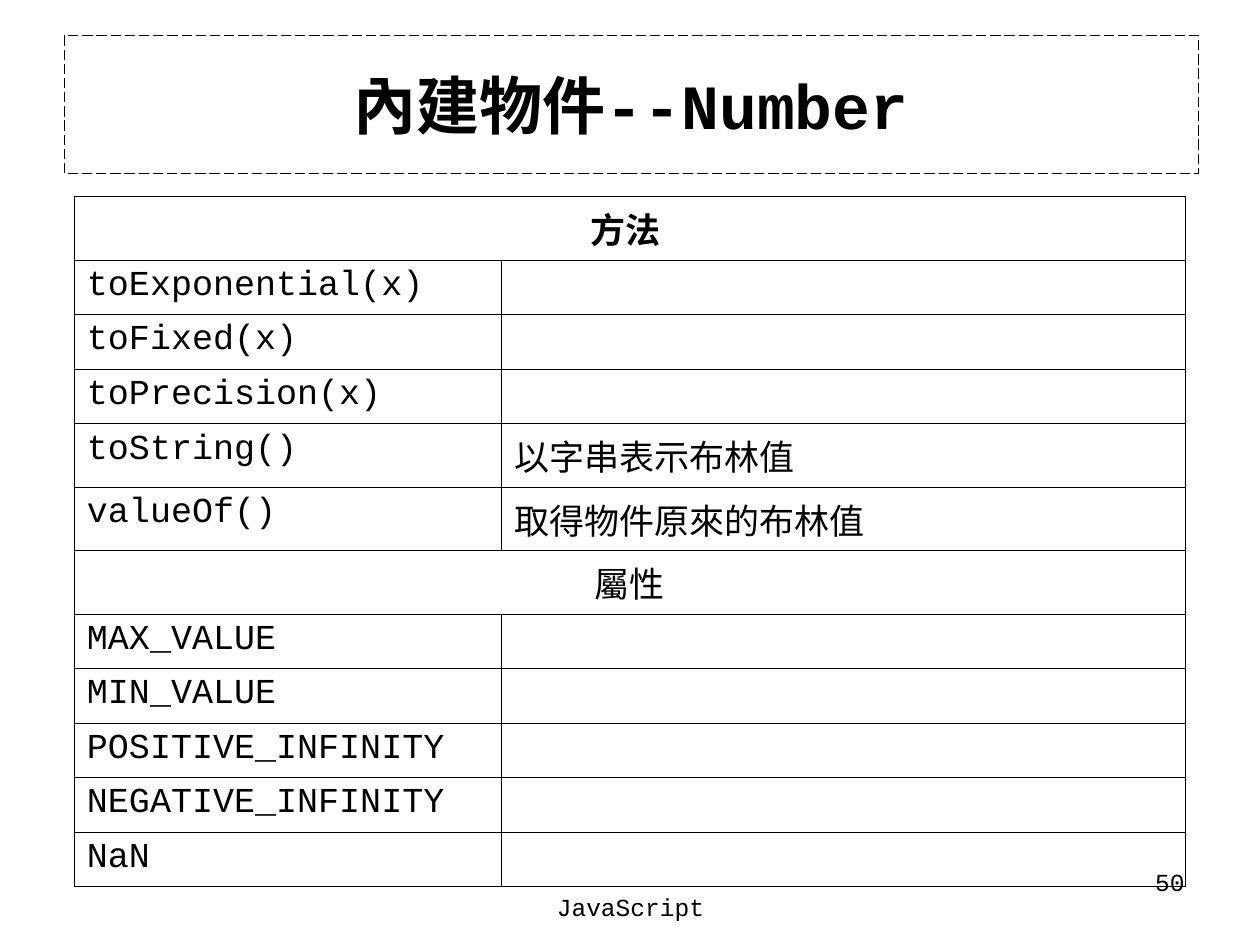
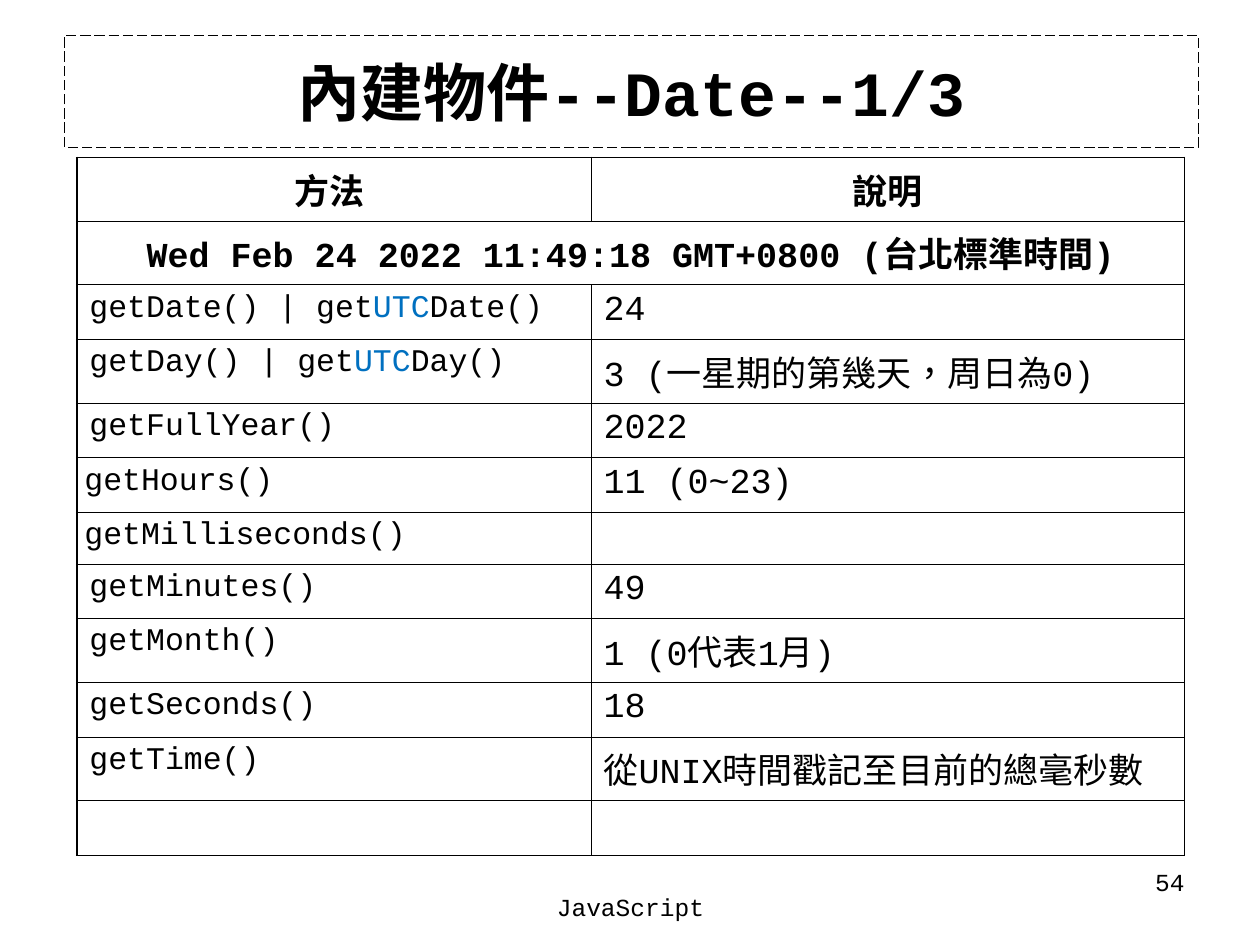
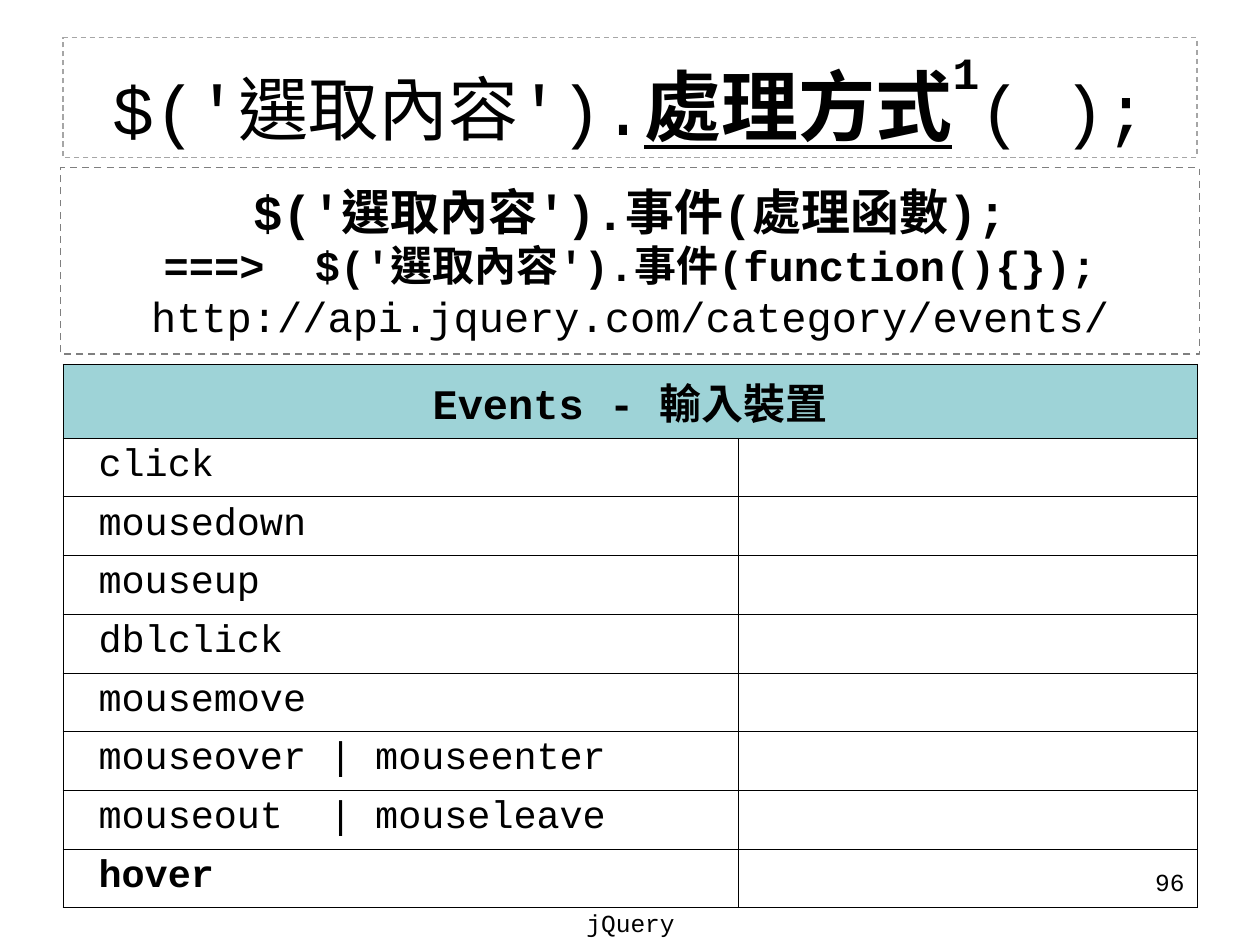
from dataclasses import dataclass, field
from typing import NamedTuple

from lxml.etree import SubElement as Sub
from pptx import Presentation
from pptx.dml.color import RGBColor as Rgb
from pptx.enum.dml import MSO_LINE as Dash
from pptx.enum.shapes import MSO_SHAPE as Shape
from pptx.enum.text import MSO_ANCHOR as Anchor, MSO_AUTO_SIZE as Fit, PP_ALIGN as Align
from pptx.oxml.ns import qn
from pptx.util import Inches, Pt

UNIT = Inches(0.1)  # the slide is a grid of 100 columns by 75 rows
FONT = "Courier New"
HEX = {"ink": "000000", "blue": "0070C0", "teal": "9ED3D7",
       "pale": "A6A6A6", "gray": "7F7F7F"}
THICK, THIN = 1.08, 0.45
HEAD = {"size": 20, "bold": True}
BODY = {"size": 20}
CODE = {"size": 18}
MARK = {"size": 18, "color": "blue"}
EVENT = {"size": 22}
NOTE = {"size": 14}
TITLE = {"size": 36, "bold": True}


class Box(NamedTuple):
    """Left, top, width and height in grid units."""
    x: float
    y: float
    w: float
    h: float


class Run(NamedTuple):
    text: str
    form: dict


class Edge(NamedTuple):
    color: str
    width: float
    dash: Dash


@dataclass
class Cell:
    runs: list = field(default_factory=list)
    align: Align = Align.LEFT
    pad: float = 1
    fill: str = ""


@dataclass
class Grid:
    """A row with a single cell spans all columns."""
    box: Box
    cols: list
    rows: list
    cells: list
    outer: float = THICK


@dataclass
class Page:
    box: Box
    title: list
    edge: Edge
    grid: Grid
    number: str
    foot: str
    low: float = 70.3


def span(units: float) -> int:
    return round(units * UNIT)


def place(shape, box: Box) -> None:
    for name, size in zip(("left", "top", "width", "height"), box):
        setattr(shape, name, span(size))


def write(para, runs: list, align: Align) -> None:
    para.alignment = align
    for item in runs:
        run = para.add_run()
        run.text = item.text
        form = {"name": FONT, "bold": False, **item.form}
        form["size"] = Pt(form["size"])
        run.font.color.rgb = Rgb.from_string(HEX[form.pop("color", "ink")])
        props = run._r.get_or_add_rPr()
        props.set("lang", "zh-TW")
        if "base" in form:
            props.set("baseline", str(form.pop("base") * 1000))
        for name, value in form.items():
            setattr(run.font, name, value)


def fill_text(frame, paras: list, align: Align, **form) -> None:
    base = {"word_wrap": True, "auto_size": Fit.NONE, "vertical_anchor": Anchor.TOP}
    for name, value in {**base, **form}.items():
        setattr(frame, name, value)
    for i, runs in enumerate(paras):
        write(frame.add_paragraph() if i else frame.paragraphs[0], runs, align)


def frame_box(shape, box: Box, edge: Edge, paras: list) -> None:
    """Give a shape its dashed frame and centred text."""
    place(shape, box)
    shape.fill.background()
    shape.line.color.rgb = Rgb.from_string(HEX[edge.color])
    shape.line.width = Pt(edge.width)
    shape.line.dash_style = edge.dash
    fill_text(shape.text_frame, paras, Align.CENTER, vertical_anchor=Anchor.MIDDLE,
              margin_left=span(0.5), margin_right=span(0.5))


def add_note(slide, box: Box, text: str, align: Align) -> None:
    note = slide.shapes.add_textbox(0, 0, 0, 0)
    place(note, box)
    fill_text(note.text_frame, [[Run(text, NOTE)]], align)


def rule_cell(cell, widths: dict) -> None:
    props = cell._tc.get_or_add_tcPr()
    for side, width in widths.items():
        line = Sub(props, qn(f"a:ln{side}"), w=str(Pt(width)))
        Sub(Sub(line, qn("a:solidFill")), qn("a:srgbClr"), val=HEX["ink"])


def add_grid(slide, grid: Grid) -> None:
    count = len(grid.cols)
    table = slide.shapes.add_table(len(grid.rows), count, *map(span, grid.box)).table
    table.first_row = table.horz_banding = False
    for col, width in zip(table.columns, grid.cols):
        col.width = span(width)
    for r, (height, items) in enumerate(zip(grid.rows, grid.cells)):
        table.rows[r].height = span(height)
        whole = len(items) == 1
        if whole:
            table.cell(r, 0).merge(table.cell(r, count - 1))
        for c in range(count):
            cell = table.cell(r, c)
            rule_cell(cell, {
                "L": THIN if c else grid.outer,
                "R": grid.outer if whole or c == count - 1 else THIN,
                "T": THIN if r else grid.outer,
                "B": THIN})
            item = items[c] if c < len(items) else Cell()
            if item.fill:
                cell.fill.solid()
                cell.fill.fore_color.rgb = Rgb.from_string(HEX[item.fill])
            else:
                cell.fill.background()
            if item.runs:
                cell.margin_left = span(item.pad)
                write(cell.text_frame.paragraphs[0], item.runs, item.align)


def add_page(deck, page: Page):
    slide = deck.slides.add_slide(deck.slide_layouts[5])
    frame_box(slide.shapes.title, page.box, page.edge, [page.title])
    add_grid(slide, page.grid)
    add_note(slide, Box(71.7, 68.3, 23.3, 5.2), page.number, Align.RIGHT)
    add_note(slide, Box(34.2, page.low, 31.7, 5), page.foot, Align.CENTER)
    return slide


def head(text: str, form: dict = HEAD, fill: str = "") -> Cell:
    return Cell([Run(text, form)], Align.CENTER, fill=fill)


def pair(name: str, note: str = "", form: dict = BODY, pad: float = 1) -> list:
    """A row of name and note; UTC in the name is marked."""
    start, mark, rest = name.partition("UTC")
    runs = [Run(start, form)]
    if mark:
        runs += [Run(mark, MARK), Run(rest, form)]
    return [Cell(runs, pad=pad), Cell([Run(note, BODY)] if note else [])]


NUMBER = [
    [head("方法 ")],
    *map(pair, ("toExponential(x)", "toFixed(x)", "toPrecision(x)")),
    pair("toString()", "以字串表示布林值"),
    pair("valueOf()", "取得物件原來的布林值"),
    [head("屬性", BODY)],
    *map(pair, ("MAX_VALUE", "MIN_VALUE", "POSITIVE_INFINITY",
                "NEGATIVE_INFINITY", "NaN")),
]
DATES = [
    ("getDate() | getUTCDate()", "24"),
    ("getDay() | getUTCDay()", "3 (一星期的第幾天，周日為0)"),
    ("getFullYear()", "2022"),
    ("getHours()", "11 (0~23)"),
    ("getMilliseconds()", ""),
    ("getMinutes()", "49"),
    ("getMonth()", "1 (0代表1月)"),
    ("getSeconds()", "18"),
    ("getTime()", "從UNIX時間戳記至目前的總毫秒數"),
]
TIGHT = ("getHours()", "getMilliseconds()")
DATE = [
    [head("方法 "), head("說明")],
    [head("Wed Feb 24 2022 11:49:18 GMT+0800 (台北標準時間)")],
    *(pair(name, note, CODE, 0.6 if name in TIGHT else 1) for name, note in DATES),
    [Cell(), Cell()],
]
EVENTS = ("click", "mousedown", "mouseup", "dblclick", "mousemove",
          "mouseover | mouseenter", "mouseout  | mouseleave", "hover")
INPUT = [
    [head("Events - 輸入裝置", {"size": 24, "bold": True}, "teal")],
    *(pair(name, form={**EVENT, "bold": name == "hover"}, pad=2.83) for name in EVENTS),
]
SOLID = Edge("ink", 0.75, Dash.LONG_DASH)
PAGES = [
    Page(Box(5.1, 2.8, 90, 11), [Run("內建物件--Number", TITLE)], SOLID,
         Grid(Box(5.9, 15.6, 88.2, 52), [33.9, 54.3], [4.33] * 12, NUMBER),
         "50", "JavaScript"),
    Page(Box(5.1, 2.8, 90, 8.9), [Run("內建物件--Date--1/3", TITLE)], SOLID,
         Grid(Box(6.1, 12.5, 87.9, 51.8), [40.8, 47.1],
              [4.33] * 6 + [4.1] + [4.33] * 5, DATE),
         "54", "JavaScript"),
    Page(Box(5, 3, 90, 9.5),
         [Run("$('選取內容').", {"size": 40}),
          Run("處理方式", {"size": 44, "bold": True, "underline": True}),
          Run("1", {"size": 44, "bold": True, "base": 60}),
          Run("( );", {"size": 40})],
         Edge("pale", 0.75, Dash.DASH),
         Grid(Box(5, 28.9, 90, 42.3), [53.6, 36.4], [5] + [4.66] * 8, INPUT, THIN),
         "96", "jQuery", 71.6),
]
USAGE = [
    [Run("$('選取內容').事件(處理函數);", {"size": 28, "bold": True})],
    [Run("===>  $('選取內容').事件(function(){});", {"size": 24, "bold": True})],
    [Run("http://api.jquery.com/category/events/", {"size": 24})],
]


def main() -> None:
    deck = Presentation()
    deck.slide_width, deck.slide_height = span(100), span(75)
    for page in PAGES:
        slide = add_page(deck, page)
    usage = slide.shapes.add_shape(Shape.RECTANGLE, 0, 0, 0, 0)
    usage.shadow.inherit = False
    frame_box(usage, Box(4.8, 13.3, 90.4, 14.8), Edge("gray", 1, Dash.DASH), USAGE)
    deck.save("out.pptx")


if __name__ == "__main__":
    main()
